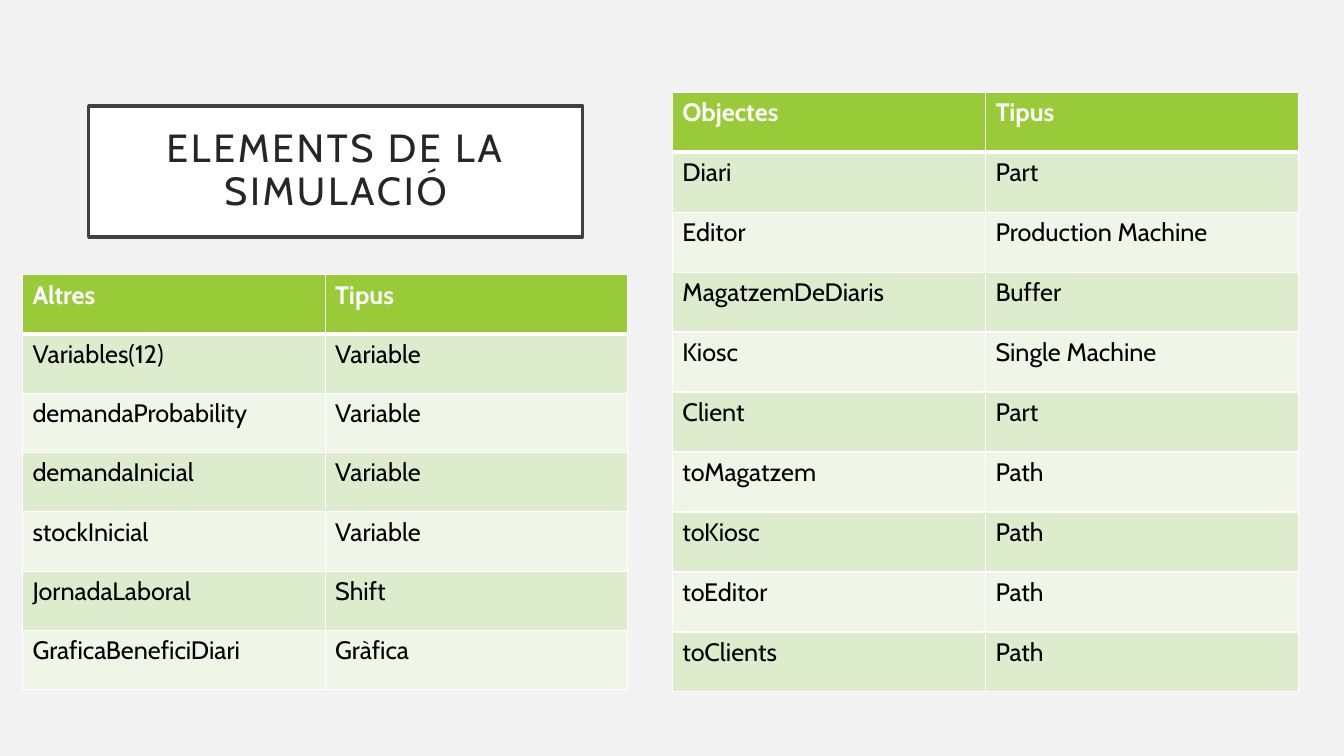
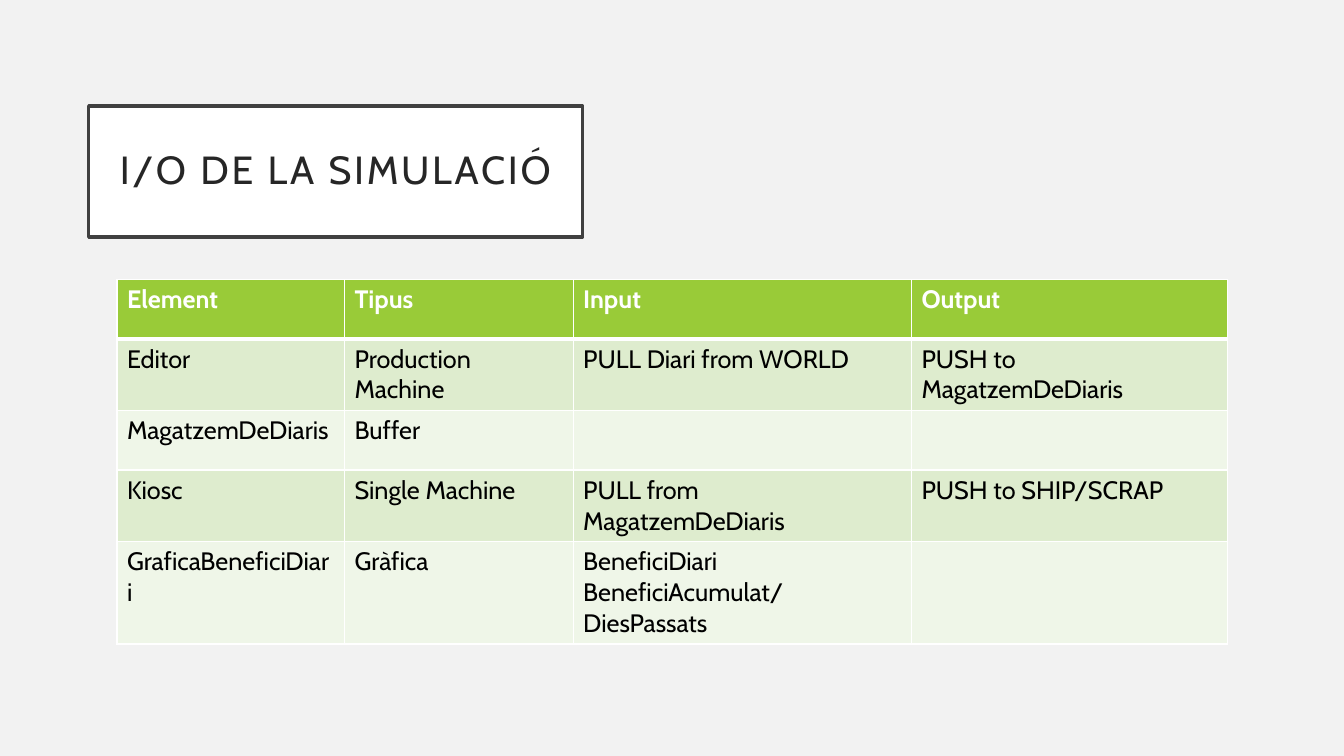
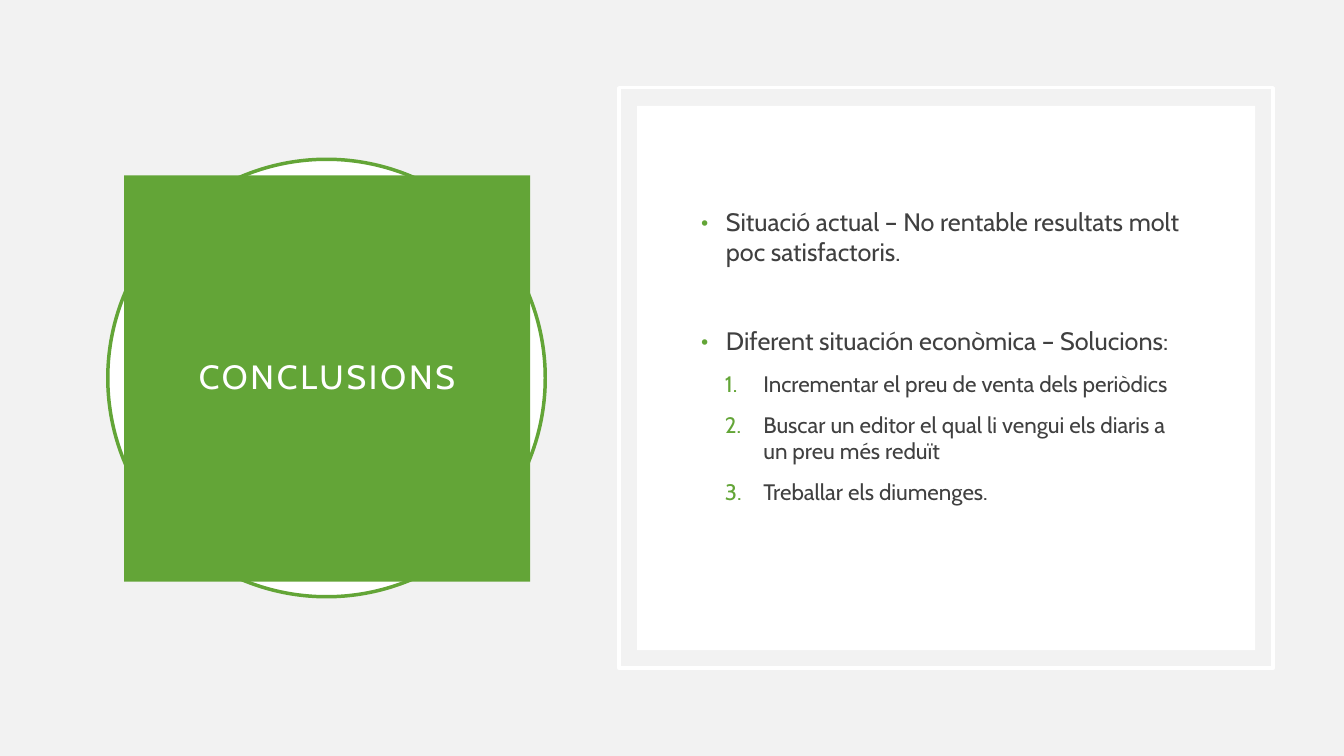
from lxml import etree
from pptx import Presentation
from pptx.dml.color import RGBColor
from pptx.enum.shapes import MSO_SHAPE
from pptx.enum.text import MSO_ANCHOR, MSO_AUTO_SIZE, PP_ALIGN
from pptx.oxml.ns import qn
from pptx.util import Inches, Pt

RECTANGLE = MSO_SHAPE.RECTANGLE
OVAL = MSO_SHAPE.OVAL
MIDDLE = MSO_ANCHOR.MIDDLE
NO_AUTOFIT = MSO_AUTO_SIZE.NONE
CENTER = PP_ALIGN.CENTER
LEFT = PP_ALIGN.LEFT

CONTENT_LAYOUT = 1
TITLE_LAYOUT = 5
TITLE_BOX = (6.6, 14, 36.75, 17.33)

OBJECTS = [
    ("Objectes", "Tipus"),
    ("Diari", "Part"),
    ("Editor", "Production Machine"),
    ("MagatzemDeDiaris", "Buffer"),
    ("Kiosc", "Single Machine"),
    ("Client", "Part"),
    ("toMagatzem", "Path"),
    ("toKiosc", "Path"),
    ("toEditor", "Path"),
    ("toClients", "Path"),
]
OTHERS = [
    ("Altres", "Tipus"),
    ("Variables(12)", "Variable"),
    ("demandaProbability", "Variable"),
    ("demandaInicial", "Variable"),
    ("stockInicial", "Variable"),
    ("JornadaLaboral", "Shift"),
    ("GraficaBeneficiDiari", "Gràfica"),
]
INPUT_OUTPUT = [
    ("Element", "Tipus", "Input", "Output"),
    ("Editor", "Production Machine", "PULL Diari from WORLD", "PUSH to MagatzemDeDiaris"),
    ("MagatzemDeDiaris", "Buffer", "", ""),
    ("Kiosc", "Single Machine", "PULL from MagatzemDeDiaris", "PUSH to SHIP/SCRAP"),
    ("GraficaBeneficiDiari", "Gràfica", "BeneficiDiari\nBeneficiAcumulat/DiesPassats", ""),
]
CONCLUSIONS = [
    (0, 10, "Situació actual – No rentable resultats molt poc satisfactoris."),
    (0, 42, "Diferent situación econòmica – Solucions:"),
    (1, 10, "Incrementar el preu de venta dels periòdics"),
    (1, 10, "Buscar un editor el qual li vengui els diaris a un preu més reduït"),
    (1, 10, "Treballar els diumenges."),
]


def color(value):
    """Turn a hex string into a colour."""
    return RGBColor.from_string(value)


def apply(target, values):
    """Set every attribute of a dict of format values."""
    for name, value in values.items():
        setattr(target, name, value)


class Deck:
    """Hold the style and the current slide, with lengths in percent of the slide."""

    FONT = "Cabin"
    BACKGROUND, WHITE, BLACK = "F2F2F2", "FFFFFF", "000000"
    DARK, TEXT, TITLE = "404040", "404040", "262626"
    GREEN, HEADER = "63A537", "99CB38"
    BANDS = ("EFF6E8", "DEECCE")
    LINE_WIDTH = 2.5
    LEVELS = (
        {"size": 18, "margin": 0.25, "hanging": 0.25, "bullet": ("a:buChar", {"char": "•"})},
        {"size": 16, "margin": 0.62, "hanging": 0.38, "bullet": ("a:buAutoNum", {"type": "arabicPeriod"})},
    )

    def __init__(self):
        """Start a wide presentation with a plain background."""
        self.presentation = Presentation()
        apply(self.presentation, {"slide_width": Inches(13.33), "slide_height": Inches(7.5)})
        self.slide = None
        fill = self.presentation.slide_master.background.fill
        fill.solid()
        fill.fore_color.rgb = color(self.BACKGROUND)

    def box(self, left, top, width, height):
        """Turn percentages into a slide position and size."""
        across = self.presentation.slide_width / 100
        down = self.presentation.slide_height / 100
        return int(left * across), int(top * down), int(width * across), int(height * down)

    def add_slide(self, layout):
        """Add a slide and make it the current one."""
        self.slide = self.presentation.slides.add_slide(self.presentation.slide_layouts[layout])

    def place(self, shape, area):
        """Move a placeholder to an area."""
        apply(shape, dict(zip(("left", "top", "width", "height"), self.box(*area))))

    def paint(self, shape, fill=None, line=None):
        """Give a shape its fill and outline."""
        if fill:
            shape.fill.solid()
            shape.fill.fore_color.rgb = color(fill)
        else:
            shape.fill.background()
        if line:
            shape.line.color.rgb = color(line)
            shape.line.width = Pt(self.LINE_WIDTH)
        else:
            shape.line.fill.background()

    def style(self, font, size, text_color, bold=False):
        """Format a font."""
        apply(font, {"name": self.FONT, "size": Pt(size), "bold": bold})
        font.color.rgb = color(text_color)

    def title(self, text, area=TITLE_BOX, size=28, text_color=TITLE, fill=WHITE, line=DARK, side=0.2):
        """Fill the title placeholder with spaced, centred text."""
        shape = self.slide.shapes.title
        self.place(shape, area)
        self.paint(shape, fill, line)
        frame = shape.text_frame
        frame.text = text
        apply(frame, {
            "word_wrap": True, "auto_size": NO_AUTOFIT, "vertical_anchor": MIDDLE,
            "margin_left": Inches(side), "margin_right": Inches(side),
            "margin_top": Inches(0.2), "margin_bottom": Inches(0.2),
        })
        paragraph = frame.paragraphs[0]
        apply(paragraph, {"alignment": CENTER, "line_spacing": 0.9})
        run = paragraph.runs[0]
        self.style(run.font, size, text_color)
        run._r.get_or_add_rPr().set("spc", "200")

    def backdrop(self, kind, area, fill=None, line=None):
        """Draw a shape behind the placeholders."""
        shape = self.slide.shapes.add_shape(kind, *self.box(*area))
        shape.shadow.inherit = False
        self.paint(shape, fill, line)
        self.slide.shapes.title.element.addprevious(shape.element)

    def body(self, items, area):
        """Fill the body placeholder with bullets and numbered steps."""
        shape = self.slide.placeholders[1]
        self.place(shape, area)
        frame = shape.text_frame
        apply(frame, {
            "word_wrap": True, "auto_size": NO_AUTOFIT,
            "vertical_anchor": MIDDLE, "margin_bottom": Inches(0.49),
        })
        for index, (level, space, text) in enumerate(items):
            paragraph = frame.add_paragraph() if index else frame.paragraphs[0]
            apply(paragraph, {
                "text": text, "level": level, "space_before": Pt(space),
                "line_spacing": 1.0, "alignment": LEFT,
            })
            self.style(paragraph.runs[0].font, self.LEVELS[level]["size"], self.TEXT)
            self.bullet(paragraph, self.LEVELS[level])

    def bullet(self, paragraph, level):
        """Give a paragraph its hanging indent and green marker."""
        properties = paragraph._p.get_or_add_pPr()
        properties.set("marL", str(Inches(level["margin"])))
        properties.set("indent", str(-Inches(level["hanging"])))
        marker_color = etree.SubElement(properties, qn("a:buClr"))
        etree.SubElement(marker_color, qn("a:srgbClr"), val=self.GREEN)
        etree.SubElement(properties, qn("a:buFont"), typeface=self.FONT)
        tag, attributes = level["bullet"]
        etree.SubElement(properties, qn(tag), attributes)

    def table(self, rows, area, weights):
        """Add a banded table with equal rows and weighted columns."""
        left, top, width, height = self.box(*area)
        table = self.slide.shapes.add_table(len(rows), len(weights), left, top, width, height).table
        for column, weight in zip(table.columns, weights):
            column.width = int(width * weight / sum(weights))
        for row_index, texts in enumerate(rows):
            table.rows[row_index].height = height // len(rows)
            for column_index, text in enumerate(texts):
                self.cell(table.cell(row_index, column_index), text, row_index)

    def cell(self, cell, text, row_index):
        """Write and format one table cell."""
        header = row_index == 0
        self.borders(cell, top=3 if row_index == 1 else 1, bottom=3 if header else 1)
        cell.fill.solid()
        cell.fill.fore_color.rgb = color(self.HEADER if header else self.BANDS[row_index % 2])
        cell.text_frame.text = text
        for paragraph in cell.text_frame.paragraphs:
            self.style(paragraph.font, 18, self.WHITE if header else self.BLACK, header)
            for run in paragraph.runs:
                self.style(run.font, 18, self.WHITE if header else self.BLACK, header)

    def borders(self, cell, top, bottom):
        """Draw white borders round a cell."""
        properties = cell._tc.get_or_add_tcPr()
        for side, width in (("L", 1), ("R", 1), ("T", top), ("B", bottom)):
            line = etree.SubElement(properties, qn("a:ln" + side), w=str(Pt(width)))
            fill = etree.SubElement(line, qn("a:solidFill"))
            etree.SubElement(fill, qn("a:srgbClr"), val=self.WHITE)


def main():
    """Build the three slides and save them."""
    deck = Deck()

    deck.add_slide(TITLE_LAYOUT)
    deck.title("ELEMENTS DE LA SIMULACIÓ")
    deck.table(OBJECTS, (50.03, 12.2, 46.6, 79.33), (1, 1))
    deck.table(OTHERS, (1.67, 36.33, 45.05, 54.93), (1, 1))

    deck.add_slide(TITLE_LAYOUT)
    deck.title("I/O DE LA SIMULACIÓ")
    deck.table(INPUT_OUTPUT, (8.7, 36.93, 82.65, 39.4), (2.26, 2.27, 3.36, 3.14))

    deck.add_slide(CONTENT_LAYOUT)
    deck.backdrop(OVAL, (8.02, 21.07, 32.55, 57.87), deck.WHITE, deck.GREEN)
    deck.backdrop(RECTANGLE, (46.06, 11.6, 48.67, 76.8), line=deck.WHITE)
    deck.backdrop(RECTANGLE, (47.41, 14, 45.98, 72), deck.WHITE)
    deck.title("CONCLUSIONS", (9.23, 23.2, 30.22, 53.73), 24, deck.WHITE, deck.GREEN, None, 0)
    deck.body(CONCLUSIONS, (51.39, 21.07, 38.18, 57.87))

    deck.presentation.save("out.pptx")


if __name__ == "__main__":
    main()
